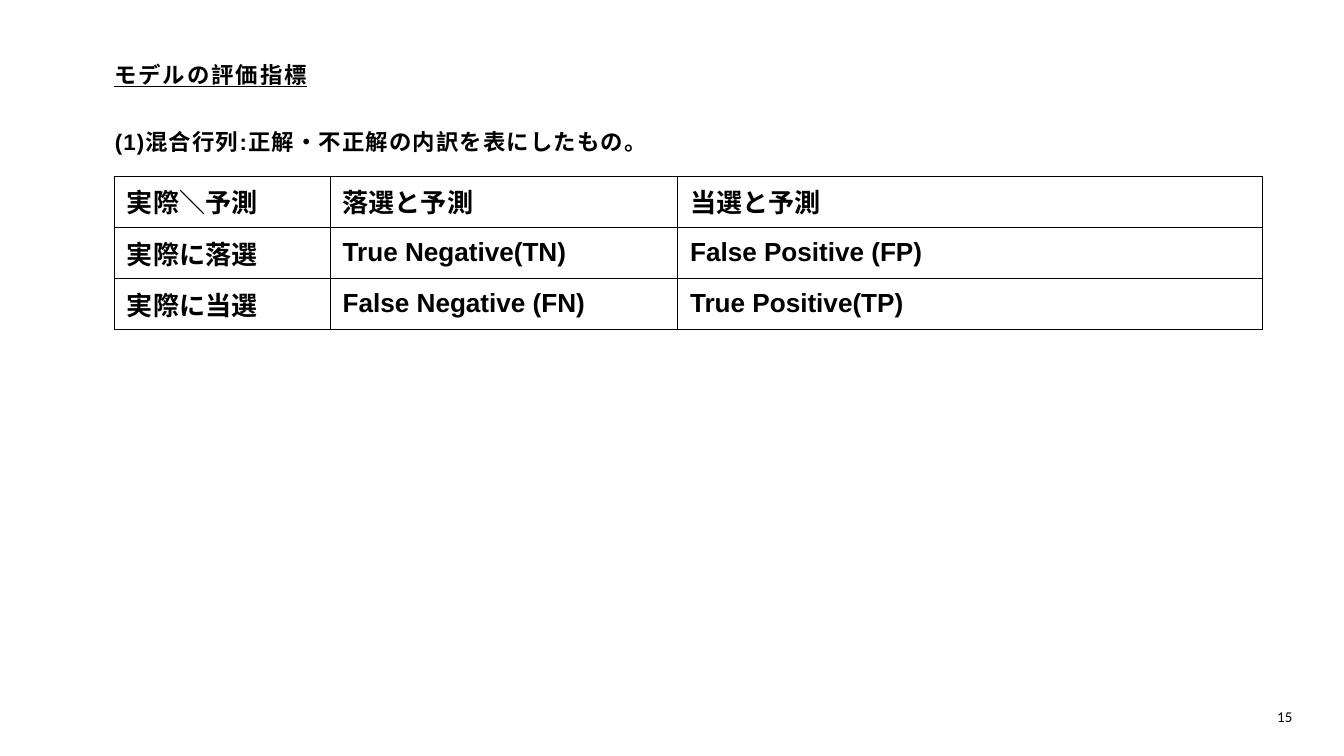
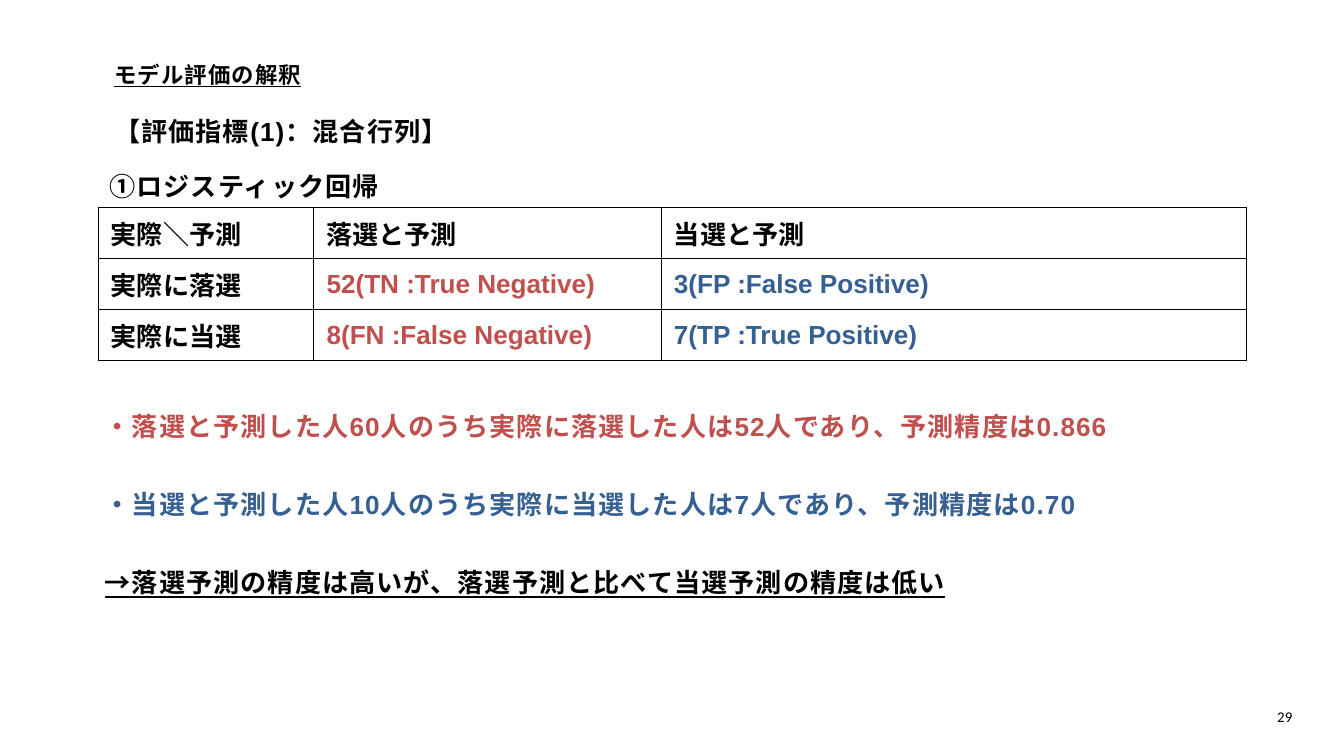
from dataclasses import dataclass

from lxml import etree
from pptx import Presentation
from pptx.dml.color import RGBColor
from pptx.enum import text
from pptx.oxml.ns import qn
from pptx.util import Inches, Pt


@dataclass(frozen=True)
class Theme:
    ink: str = "000000"
    lost: str = "C0504D"
    won: str = "376092"
    face: str = "Arial"
    number_face: str = "Calibri"
    heading: int = 24
    body: int = 28
    number: int = 16
    tracking: float = 1.2
    title_tracking: float = 2.1
    title_leading: float = 38.4
    body_leading: float = 2.5
    indent: float = 0.28


THEME = Theme()
TITLE_BOX = (1.7, 0.77, 11.6, 0.48)
NUMBER_BOX = (17, 10.46, 2.33, 0.4)
MATRIX_COLUMNS = (3.21, 5.17, 8.71)
MATRIX_ROW = 0.76
PREDICTED = ("落選と予測", "当選と予測")
ACTUAL = ("実際に落選", "実際に当選")


def style(paragraph, size, color=THEME.ink, face=THEME.face, bold=True,
          underline=None, tracking=None):
    font = paragraph.font
    font.size, font.name, font.bold = Pt(size), face, bold
    font.underline = underline
    font.color.rgb = RGBColor.from_string(color)
    if tracking:
        defaults = paragraph._p.pPr.find(qn("a:defRPr"))
        defaults.set("spc", str(round(tracking * 100)))


def add_frame(slide, box, inset=True, grow=True):
    frame = slide.shapes.add_textbox(*map(Inches, box)).text_frame
    frame.word_wrap = True
    if grow:
        frame.auto_size = text.MSO_AUTO_SIZE.SHAPE_TO_FIT_TEXT
    if not inset:
        frame.margin_left = frame.margin_right = 0
        frame.margin_top = frame.margin_bottom = 0
    return frame


def add_title(slide, box, wording, tracking):
    title = add_frame(slide, box, inset=False).paragraphs[0]
    title.text = wording
    title.line_spacing = Pt(THEME.title_leading)
    style(title, THEME.heading, underline=True, tracking=tracking)


def add_page_number(slide, box, number):
    frame = add_frame(slide, box, grow=False)
    frame.vertical_anchor = text.MSO_ANCHOR.MIDDLE
    page = frame.paragraphs[0]
    page.text = str(number)
    page.alignment = text.PP_ALIGN.RIGHT
    style(page, THEME.number, face=THEME.number_face, bold=False)


def add_statements(slide, box, statements, size=THEME.body, inset=True):
    frame = add_frame(slide, box, inset)
    for index, (wording, color, underline) in enumerate(statements):
        statement = frame.add_paragraph() if index else frame.paragraphs[0]
        statement.text = wording
        statement.level = 1
        statement.line_spacing = THEME.body_leading
        properties = statement._p.get_or_add_pPr()
        properties.set("marL", str(Inches(THEME.indent)))
        properties.set("indent", "0")
        style(statement, size, color, underline=underline, tracking=THEME.tracking)


def add_line(slide, box, wording, size=THEME.body, inset=True):
    add_statements(slide, box, [(wording, THEME.ink, None)], size, inset)


def outline(cell):
    properties = cell._tc.get_or_add_tcPr()
    for position, side in enumerate(("lnL", "lnR", "lnT", "lnB")):
        border = etree.Element(qn(f"a:{side}"), w=str(Pt(1)))
        fill = etree.SubElement(border, qn("a:solidFill"))
        etree.SubElement(fill, qn("a:srgbClr"), val=THEME.ink)
        properties.insert(position, border)


def add_matrix(slide, left, top, outcomes, outcome_colors):
    rows = [("実際＼予測", *PREDICTED)]
    rows += [(actual, *pair) for actual, pair in zip(ACTUAL, outcomes)]
    box = (left, top, sum(MATRIX_COLUMNS), MATRIX_ROW * len(rows))
    matrix = slide.shapes.add_table(
        len(rows), len(MATRIX_COLUMNS), *map(Inches, box)).table
    matrix.first_row = matrix.horz_banding = False
    for column, width in zip(matrix.columns, MATRIX_COLUMNS):
        column.width = Inches(width)
    for r, row in enumerate(rows):
        matrix.rows[r].height = Inches(MATRIX_ROW)
        for c, wording in enumerate(row):
            cell = matrix.cell(r, c)
            cell.fill.background()
            outline(cell)
            cell.margin_left = cell.margin_right = Inches(0.19)
            cell.margin_top = cell.margin_bottom = Inches(0.09)
            cell.vertical_anchor = text.MSO_ANCHOR.MIDDLE
            cell.text = wording
            color = outcome_colors[c - 1] if r and c else THEME.ink
            style(cell.text_frame.paragraphs[0], THEME.body, color)


def start_slide(deck, title, tracking, number):
    slide = deck.slides.add_slide(deck.slide_layouts[6])
    add_title(slide, TITLE_BOX, title, tracking)
    add_page_number(slide, NUMBER_BOX, number)
    return slide


def build_metrics(deck):
    slide = start_slide(deck, "モデルの評価指標", THEME.title_tracking, 15)
    add_matrix(slide, 1.7, 2.62,
               [("True Negative(TN)", "False Positive (FP)"),
                ("False Negative (FN)", "True Positive(TP)")],
               (THEME.ink, THEME.ink))
    add_line(slide, (1.33, 1.25, 10, 0.92),
             "(1)混合行列:正解・不正解の内訳を表にしたもの。", THEME.heading)


def build_interpretation(deck):
    slide = start_slide(deck, "モデル評価の解釈", THEME.tracking, 29)
    add_line(slide, (1.42, 1.01, 18.34, 0.95), "【評価指標(1)：混合行列】", inset=False)
    add_matrix(slide, 1.46, 3.09,
               [("52(TN :True Negative)", "3(FP :False Positive)"),
                ("8(FN :False Negative)", "7(TP :True Positive)")],
               (THEME.lost, THEME.won))
    add_statements(slide, (1.28, 5.4, 18.34, 3.31), [
        ("・落選と予測した人60人のうち実際に落選した人は52人であり、予測精度は0.866",
         THEME.lost, None),
        ("・当選と予測した人10人のうち実際に当選した人は7人であり、予測精度は0.70",
         THEME.won, None),
        ("→落選予測の精度は高いが、落選予測と比べて当選予測の精度は低い",
         THEME.ink, True),
    ], inset=False)
    add_line(slide, (1.25, 1.79, 10, 1.05), "①ロジスティック回帰")


def main():
    deck = Presentation()
    deck.slide_width, deck.slide_height = Inches(20), Inches(11.25)
    build_metrics(deck)
    build_interpretation(deck)
    deck.save("out.pptx")


if __name__ == "__main__":
    main()
